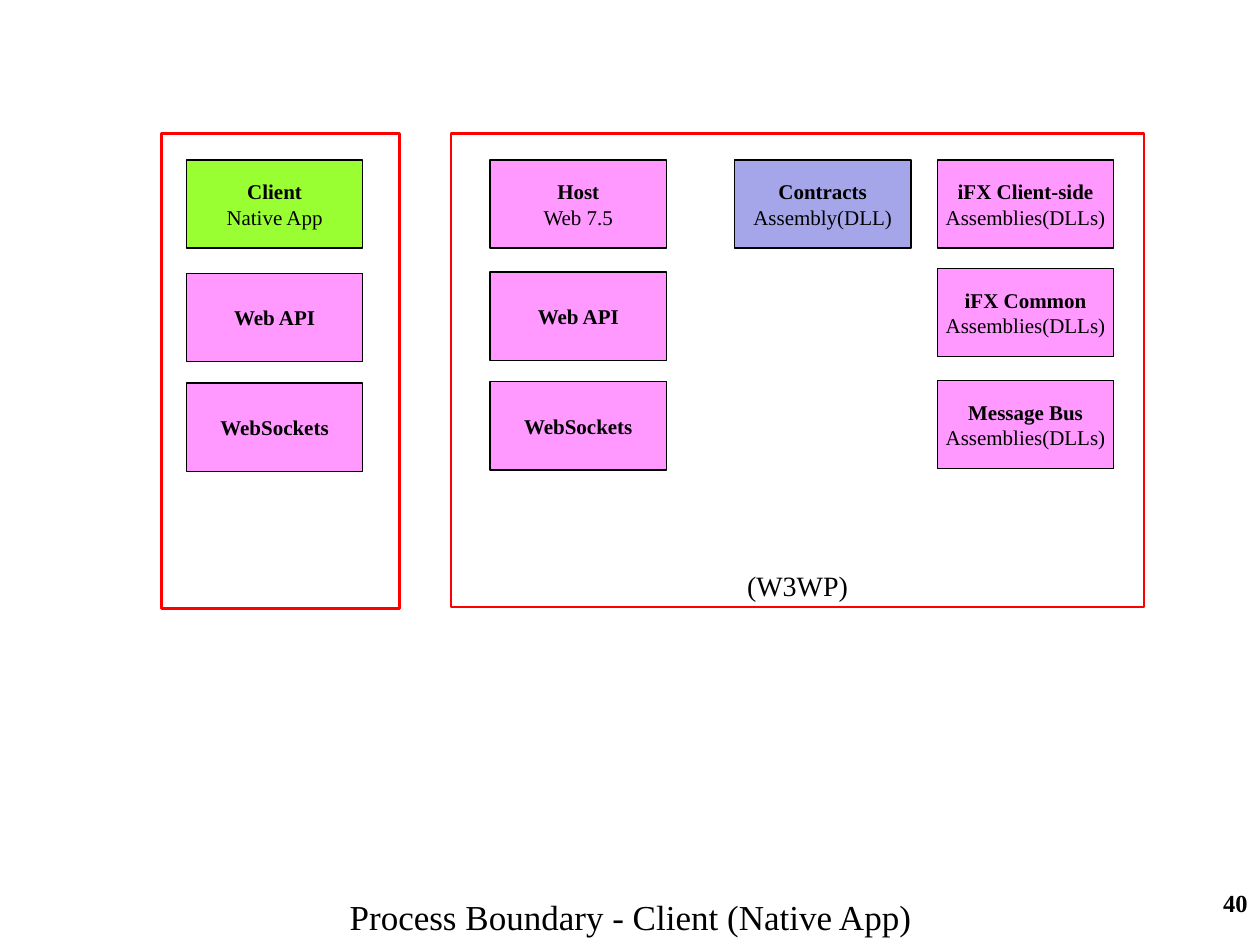
"""Builds the process boundary slide for the native app client."""
from pptx import Presentation
from pptx.dml.color import RGBColor
from pptx.enum.shapes import MSO_SHAPE as Shape
from pptx.enum.text import MSO_ANCHOR as Anchor, PP_ALIGN as Align
from pptx.util import Inches, Pt

BLACK = RGBColor(0x00, 0x00, 0x00)
RED = RGBColor(0xFF, 0x00, 0x00)
PINK = RGBColor(0xFF, 0x99, 0xFF)
GREEN = RGBColor(0x99, 0xFF, 0x33)
BLUE = RGBColor(0xA5, 0xA5, 0xE9)

FONT = "Times New Roman"
TOP = 1.27
STACKS = [
    (1.48, [(TOP, GREEN, "Client", "Native App"),
            (2.17, PINK, "Web API"),
            (3.04, PINK, "WebSockets")]),
    (3.89, [(TOP, PINK, "Host", "Web 7.5"),
            (2.16, PINK, "Web API"),
            (3.03, PINK, "WebSockets")]),
    (5.83, [(TOP, BLUE, "Contracts", "Assembly(DLL)")]),
    (7.44, [(TOP, PINK, "iFX Client-side", "Assemblies(DLLs)"),
            (2.13, PINK, "iFX Common", "Assemblies(DLLs)"),
            (3.02, PINK, "Message Bus", "Assemblies(DLLs)")]),
]


def write(para, text, size=12, bold=False, align=Align.CENTER):
    para.alignment = align
    run = para.add_run()
    run.text = text
    run.font.name = FONT
    run.font.size = Pt(size)
    run.font.bold = bold
    run.font.color.rgb = BLACK


class Board:
    def __init__(self, slide):
        self.slide = slide

    def rect(self, x, y, w, h, line, width, fill=None):
        shape = self.slide.shapes.add_shape(
            Shape.RECTANGLE, Inches(x), Inches(y), Inches(w), Inches(h))
        shape.shadow.inherit = False
        if fill is None:
            shape.fill.background()
        else:
            shape.fill.solid()
            shape.fill.fore_color.rgb = fill
        shape.line.color.rgb = line
        shape.line.width = Pt(width)
        return shape

    def frame(self, x, y, w, h):
        self.rect(x, y, w, h, RED, 1.5)

    def block(self, x, y, fill, name, *notes):
        text = self.rect(x, y, 1.4, 0.7, BLACK, 0.75, fill).text_frame
        text.word_wrap = False
        text.vertical_anchor = Anchor.MIDDLE
        write(text.paragraphs[0], name, bold=True)
        for note in notes:
            write(text.add_paragraph(), note)

    def label(self, x, y, w, h, text, **style):
        box = self.slide.shapes.add_textbox(
            Inches(x), Inches(y), Inches(w), Inches(h))
        box.text_frame.word_wrap = True
        write(box.text_frame.paragraphs[0], text, **style)


def main():
    deck = Presentation()
    deck.slide_width, deck.slide_height = Inches(10), Inches(7.5)
    board = Board(deck.slides.add_slide(deck.slide_layouts[6]))
    board.label(7.92, 7, 2.08, 0.5, "40", size=14, bold=True, align=Align.RIGHT)
    board.label(2.41, 7.06, 5.19, 0.44,
                "Process Boundary - Client (Native App)", size=20)
    board.frame(1.28, 1.06, 1.89, 3.77)
    board.frame(3.58, 1.06, 5.5, 3.76)
    for x, blocks in STACKS:
        for block in blocks:
            board.block(x, *block)
    board.label(3.58, 4.46, 5.5, 0.37, "(W3WP)", size=16)
    deck.save("out.pptx")


if __name__ == "__main__":
    main()
